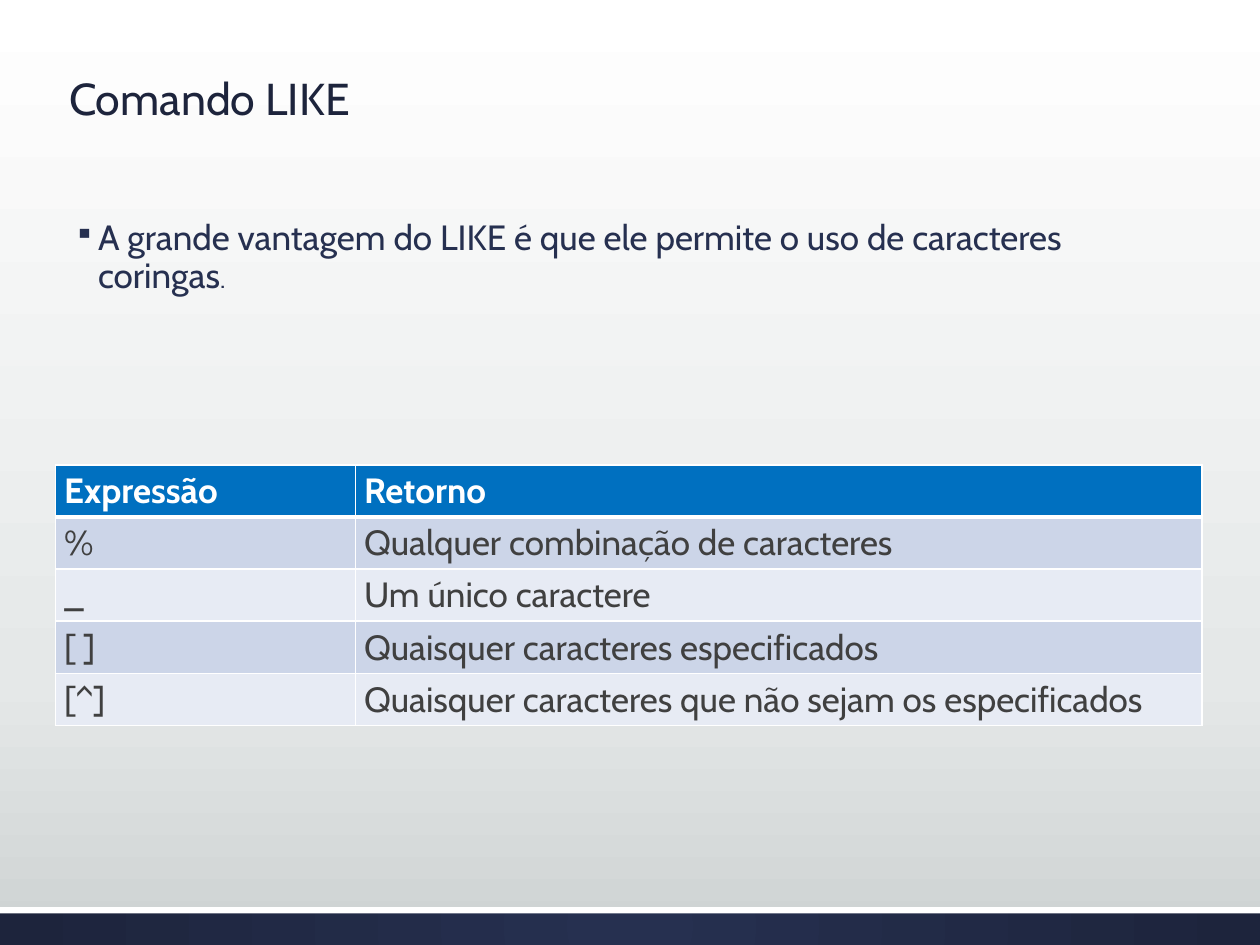
from pptx import Presentation
from pptx.dml.color import RGBColor
from pptx.enum.shapes import MSO_SHAPE
from pptx.enum.text import MSO_ANCHOR
from pptx.oxml import parse_xml
from pptx.oxml.ns import nsdecls, qn
from pptx.util import Inches, Pt

W, H = 10, 7.5
MARGIN = 0.045 * W
FONT = "Cabin"
COLORS = {
    "navy": "263050", "dark": "1D243C", "white": "FFFFFF", "mist": "E5E8E8",
    "gray": "CDD2D2", "header": "0070C0", "band": "CCD5E8", "light": "E7EBF4",
    "text": "404040",
}
LINEAR = '<a:lin ang="5400000" scaled="0"/>'
RADIAL = ('<a:path path="circle">'
          '<a:fillToRect l="50000" t="50000" r="50000" b="50000"/></a:path>')
ROWS = [
    ("Expressão", "Retorno"),
    ("%", "Qualquer combinação de caracteres"),
    ("_", "Um único caractere"),
    ("[ ]", "Quaisquer caracteres especificados"),
    ("[^]", "Quaisquer caracteres que não sejam os especificados"),
]


def rgb(name):
    return RGBColor.from_string(COLORS[name])


def box(x, y, w, h):
    return [Inches(v) for v in (x, y, w, h)]


def set_gradient(parent, stops, direction):
    """Replace the solid fill inside parent with a gradient."""
    gs = "".join(f'<a:gs pos="{pos * 1000}"><a:srgbClr val="{COLORS[c]}"/></a:gs>'
                 for pos, c in stops)
    grad = parse_xml(f'<a:gradFill {nsdecls("a")} rotWithShape="1">'
                     f'<a:gsLst>{gs}</a:gsLst>{direction}</a:gradFill>')
    parent.replace(parent.find(qn("a:solidFill")), grad)


def add_background(s):
    s.background.fill.solid()
    set_gradient(s.element.find(".//" + qn("p:bgPr")),
                 [(0, "white"), (72, "mist"), (100, "gray")], LINEAR)


def add_bar(s, y, h, color):
    sp = s.shapes.add_shape(MSO_SHAPE.RECTANGLE, *box(0, y, W, h))
    sp.shadow.inherit = False
    sp.fill.solid()
    sp.fill.fore_color.rgb = rgb(color)
    sp.line.fill.background()
    return sp


def add_run(p, text, size, color, bold=False):
    r = p.add_run()
    r.text = text
    r.font.name = FONT
    r.font.size = Pt(size)
    r.font.bold = bold
    r.font.color.rgb = rgb(color)


def add_text(s, y, h, anchor, runs):
    tf = s.shapes.add_textbox(*box(MARGIN, y, W - 2 * MARGIN, h)).text_frame
    tf.word_wrap = True
    tf.vertical_anchor = anchor
    p = tf.paragraphs[0]
    p.line_spacing = 0.9
    for run in runs:
        add_run(p, *run)
    return p


def set_bullet(p, char, color):
    pPr = p._p.get_or_add_pPr()
    pPr.set("marL", str(Inches(0.23)))
    pPr.set("indent", str(Inches(-0.19)))
    for xml in (f'<a:buClr {nsdecls("a")}><a:srgbClr val="{COLORS[color]}"/></a:buClr>',
                f'<a:buSzPct {nsdecls("a")} val="80000"/>',
                f'<a:buChar {nsdecls("a")} char="{char}"/>'):
        pPr.append(parse_xml(xml))


def set_borders(cell, top, bottom):
    tcPr = cell._tc.get_or_add_tcPr()
    sides = (("L", 1), ("R", 1), ("T", top), ("B", bottom))
    for i, (side, width) in enumerate(sides):
        tcPr.insert(i, parse_xml(
            f'<a:ln{side} {nsdecls("a")} w="{Pt(width)}"><a:solidFill>'
            f'<a:srgbClr val="{COLORS["white"]}"/></a:solidFill></a:ln{side}>'))


def add_table(s, x, y, widths, row_h, rows):
    frame = s.shapes.add_table(len(rows), len(widths),
                               *box(x, y, sum(widths), row_h * len(rows)))
    table = frame.table
    for col, w in zip(table.columns, widths):
        col.width = Inches(w)
    for i, row in enumerate(rows):
        head = i == 0
        fill = "header" if head else ("light", "band")[i % 2]
        for j, text in enumerate(row):
            cell = table.cell(i, j)
            cell.margin_left = cell.margin_right = Inches(0.07)
            cell.margin_top = cell.margin_bottom = Inches(0.04)
            cell.fill.solid()
            cell.fill.fore_color.rgb = rgb(fill)
            add_run(cell.text_frame.paragraphs[0], text, 20,
                    "white" if head else "text", head)
            # A thick rule parts the header from the body
            set_borders(cell, 3 if i == 1 else 1, 3 if head else 1)


def main():
    prs = Presentation()
    prs.slide_width, prs.slide_height = Inches(W), Inches(H)
    s = prs.slides.add_slide(prs.slide_layouts[6])

    # Background and footer bars
    add_background(s)
    footer = add_bar(s, 0.96 * H, 0.04 * H, "navy")
    set_gradient(footer.element.spPr, [(0, "navy"), (100, "dark")], RADIAL)
    add_bar(s, 0.96 * H, 0.05, "white")

    # Title and bullet
    add_text(s, 0.13, 0.18 * H, MSO_ANCHOR.MIDDLE, [("Comando LIKE", 25.5, "dark")])
    p = add_text(s, 1.7, 5.35, MSO_ANCHOR.TOP, [
        ("A grande vantagem do LIKE é que ele permite o uso de caracteres coringas",
         20, "navy"),
        (".", 15, "navy"),
    ])
    p.space_before = Pt(13.5)
    set_bullet(p, "▪", "navy")

    # Wildcards
    add_table(s, 0.44, 3.69, [2.38, 6.72], 0.41, ROWS)

    prs.save("out.pptx")


if __name__ == "__main__":
    main()
